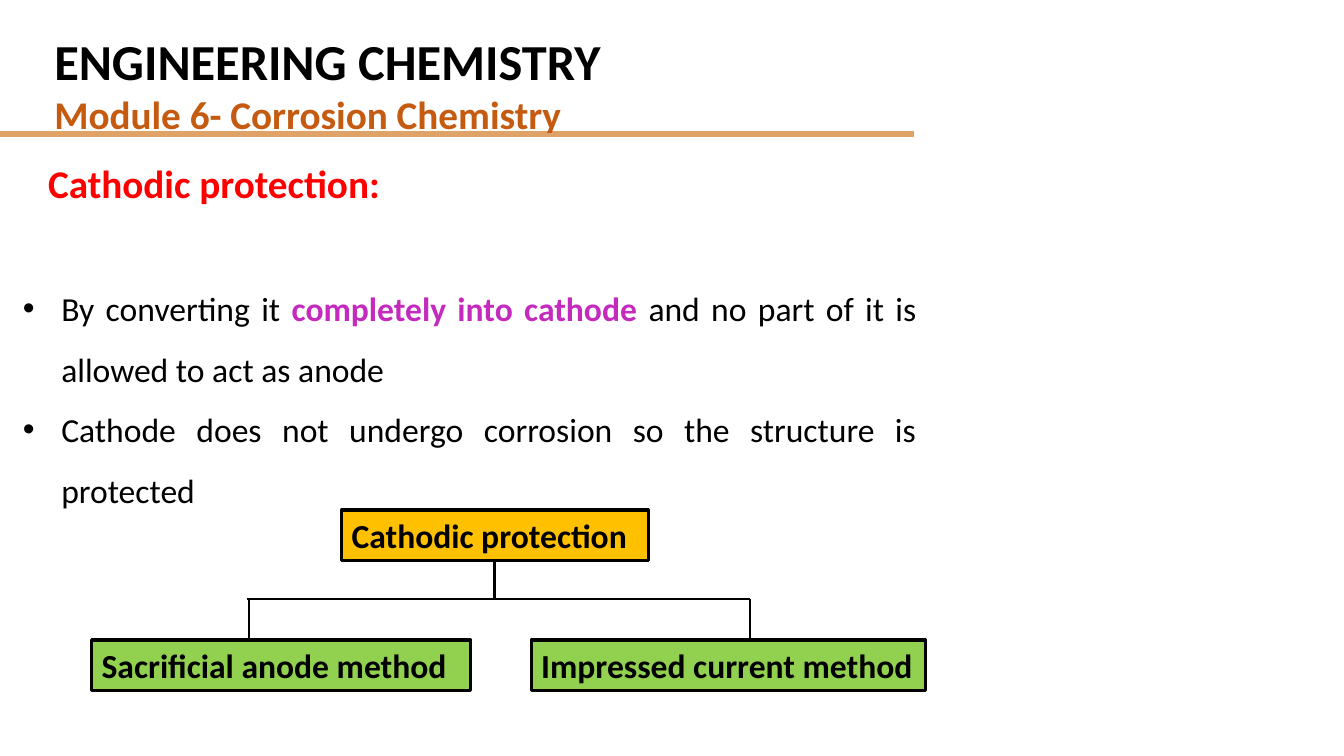
from dataclasses import dataclass
from lxml import etree
from pptx import Presentation
from pptx import util as u
from pptx.dml.color import RGBColor
from pptx.enum import shapes, text
from pptx.oxml.ns import qn

COLUMNS, ROWS = 160, 90
CELL = u.Inches(1) // 12


@dataclass(frozen=True)
class Theme:
    font: str = "Calibri"
    ink: str = "000000"
    module: str = "C55A11"
    rule: str = "DFA267"
    heading: str = "FF0000"
    accent: str = "C42ABD"
    root: str = "FFC000"
    method: str = "92D050"
    title_size: int = 36
    heading_size: int = 28
    body_size: int = 24
    rule_width: float = 3
    thick: float = 2.25
    thin: float = 1.5


THEME = Theme()


def grid(*cells):
    return [round(cell * CELL) for cell in cells]


def add_text(paragraph, content, *, size=THEME.body_size, color=THEME.ink, bold=False):
    run = paragraph.add_run()
    run.text = content
    run.font.name = THEME.font
    run.font.size = u.Pt(size)
    run.font.bold = bold
    run.font.color.rgb = RGBColor.from_string(color)


class SlideBuilder:
    def __init__(self, slide, theme):
        self.slide = slide
        self.theme = theme

    def line(self, x1, y1, x2, y2, color, width):
        connector = self.slide.shapes.add_connector(
            shapes.MSO_CONNECTOR.STRAIGHT, *grid(x1, y1, x2, y2))
        connector.line.color.rgb = RGBColor.from_string(color)
        connector.line.width = u.Pt(width)
        etree.SubElement(connector._element.spPr, qn("a:effectLst"))

    def text_box(self, left, top, width, height):
        frame = self.slide.shapes.add_textbox(*grid(left, top, width, height)).text_frame
        frame.word_wrap = True
        frame.auto_size = text.MSO_AUTO_SIZE.SHAPE_TO_FIT_TEXT
        return frame

    def bullet(self, frame, parts, space_before=0):
        paragraph = frame.add_paragraph()
        properties = paragraph._p.get_or_add_pPr()
        hang = u.Inches(0.38)
        properties.set("marL", str(hang))
        properties.set("indent", str(-hang))
        etree.SubElement(properties, qn("a:buFont"), typeface="Arial")
        etree.SubElement(properties, qn("a:buChar"), char="•")
        paragraph.alignment = text.PP_ALIGN.JUSTIFY
        paragraph.line_spacing = 1.5
        paragraph.space_before = u.Pt(space_before)
        for content, changes in parts:
            add_text(paragraph, content, **changes)

    def node(self, left, top, width, height, label, fill):
        box = self.slide.shapes.add_shape(
            shapes.MSO_SHAPE.RECTANGLE, *grid(left, top, width, height))
        box.shadow.inherit = False
        box.fill.solid()
        box.fill.fore_color.rgb = RGBColor.from_string(fill)
        box.line.color.rgb = RGBColor.from_string(self.theme.ink)
        box.line.width = u.Pt(self.theme.thick)
        frame = box.text_frame
        frame.word_wrap = True
        frame.vertical_anchor = text.MSO_ANCHOR.TOP
        frame.auto_size = text.MSO_AUTO_SIZE.SHAPE_TO_FIT_TEXT
        paragraph = frame.paragraphs[0]
        paragraph.alignment = text.PP_ALIGN.LEFT
        add_text(paragraph, label, bold=True)


def add_header(page):
    theme = page.theme
    rule_end = 108.8
    page.line(0, 15.84, rule_end, 15.84, theme.rule, theme.rule_width)
    header = page.text_box(5.28, 3, 105, 14.16)
    add_text(header.paragraphs[0], "ENGINEERING CHEMISTRY",
             size=theme.title_size, bold=True)
    add_text(header.add_paragraph(), "Module 6- Corrosion Chemistry",
             size=theme.heading_size, color=theme.module, bold=True)
    page.line(0, 16.08, rule_end, 16.08, theme.rule, theme.rule_width)


def add_explanation(page):
    theme = page.theme
    body = page.text_box(1.56, 18.36, 108.72, 43.5)
    heading = body.paragraphs[0]
    heading._p.get_or_add_pPr().set("indent", str(u.Inches(0.25)))
    add_text(heading, "Cathodic protection:",
             size=theme.heading_size, color=theme.heading, bold=True)
    page.bullet(body, [
        ("By converting it ", {}),
        ("completely into cathode ", dict(color=theme.accent, bold=True)),
        ("and no part of it is allowed to act as anode", {}),
    ], space_before=44)
    page.bullet(body, [
        ("Cathode does not undergo corrosion so the structure is protected", {}),
    ])


def add_method_tree(page):
    theme = page.theme
    node_height = 6
    root_left, root_top, root_width = 40.68, 60.72, 36.48
    branch_row, method_row = 71.28, 76.2
    methods = [
        ("Sacrificial anode method", 10.92, 45.12, 29.64),
        ("Impressed current method", 63.24, 46.92, 89.28),
    ]
    page.node(root_left, root_top, root_width, node_height,
              "Cathodic protection", theme.root)
    trunk = root_left + root_width / 2
    page.line(trunk, root_top + node_height, trunk, branch_row, theme.ink, theme.thick)
    page.line(29.4, branch_row, 89.28, branch_row, theme.ink, theme.thin)
    for label, left, width, drop in methods:
        page.node(left, method_row, width, node_height, label, theme.method)
        page.line(drop, branch_row, drop, method_row, theme.ink, theme.thin)


def main():
    deck = Presentation()
    deck.slide_width, deck.slide_height = grid(COLUMNS, ROWS)
    page = SlideBuilder(deck.slides.add_slide(deck.slide_layouts[6]), THEME)
    add_header(page)
    add_explanation(page)
    add_method_tree(page)
    deck.save("out.pptx")


if __name__ == "__main__":
    main()
